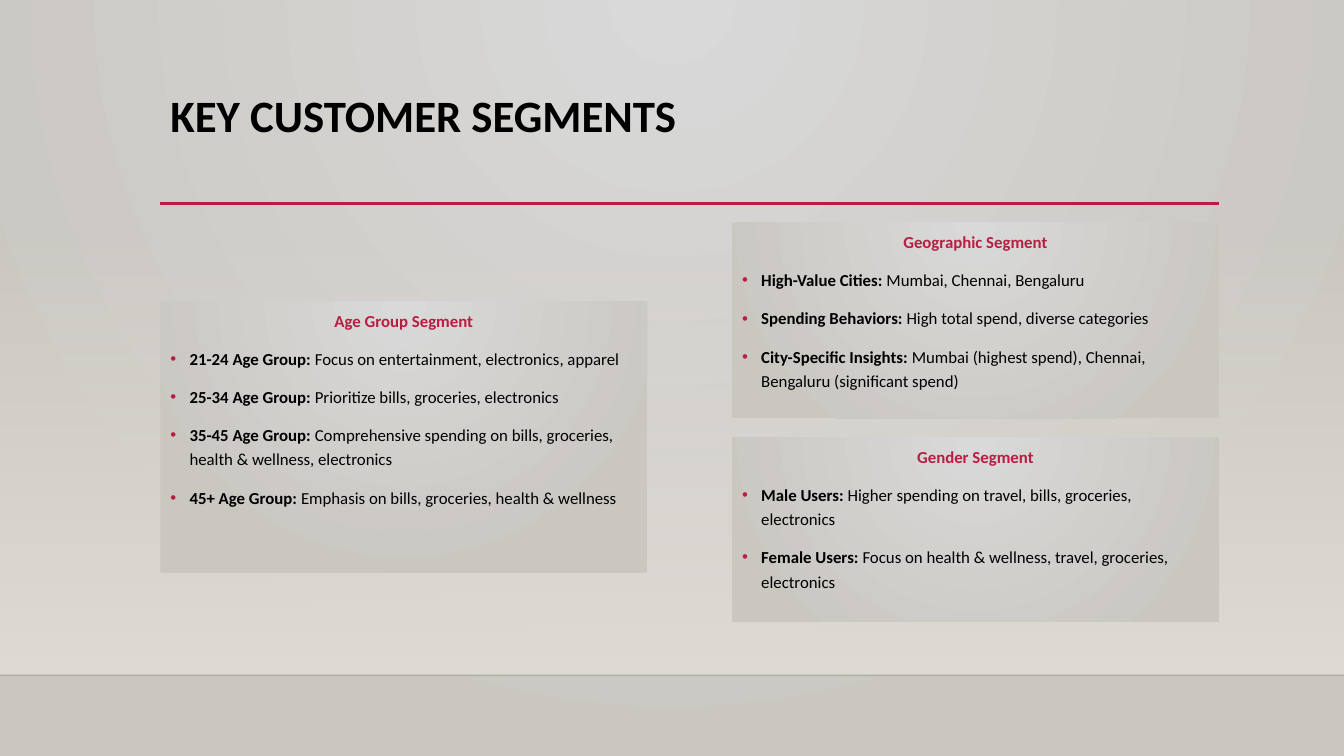
from lxml.etree import SubElement
from pptx import Presentation
from pptx.dml.color import RGBColor
from pptx.enum.shapes import MSO_CONNECTOR, MSO_SHAPE
from pptx.enum.text import MSO_ANCHOR, MSO_AUTO_SIZE, PP_ALIGN
from pptx.oxml.ns import qn
from pptx.util import Inches, Pt

CRIMSON = RGBColor(0xB7, 0x1E, 0x42)
BLACK = RGBColor(0x00, 0x00, 0x00)
SHELF = RGBColor(0x00, 0x00, 0x01)
LIGHT_GREY = RGBColor(0xD9, 0xD9, 0xD9)
WARM_GREY = RGBColor(0xCA, 0xC7, 0xC1)
SAND = RGBColor(0xDF, 0xDB, 0xD5)
FONT = "Calibri"

# Grid in inches: two equal columns between the margins
SLIDE_WIDTH, SLIDE_HEIGHT = 13.33, 7.5
MARGIN, COLUMN, GUTTER = 1.59, 4.83, 0.84
CONTENT_WIDTH = 2 * COLUMN + GUTTER
RIGHT_COLUMN = MARGIN + COLUMN + GUTTER
TITLE_TOP, RULE_Y, BODY_TOP, SHELF_Y = 0.88, 2.02, 2.21, 6.7
GEOGRAPHIC_HEIGHT, ROW_GAP = 1.94, 0.19

AGE = ("Age Group Segment", [
    ("21-24 Age Group: ", "Focus on entertainment, electronics, apparel"),
    ("25-34 Age Group: ", "Prioritize bills, groceries, electronics"),
    ("35-45 Age Group: ", "Comprehensive spending on bills, groceries, health & wellness, electronics"),
    ("45+ Age Group: ", "Emphasis on bills, groceries, health & wellness"),
])
GEOGRAPHIC = ("Geographic Segment", [
    ("High-Value Cities: ", "Mumbai, Chennai, Bengaluru"),
    ("Spending Behaviors: ", "High total spend, diverse categories"),
    ("City-Specific Insights: ", "Mumbai (highest spend), Chennai, Bengaluru (significant spend)"),
])
GENDER = ("Gender Segment", [
    ("Male Users: ", "Higher spending on travel, bills, groceries, electronics"),
    ("Female Users: ", "Focus on health & wellness, travel, groceries, electronics"),
])


def set_gradient(fill, start, end):
    fill.gradient()
    for stop, color, position in zip(fill.gradient_stops, (start, end), (0, 1)):
        stop.color.rgb = color
        stop.position = position


def set_glow(fill, owner):
    """Circular gradient spreading from the middle of the top edge."""
    set_gradient(fill, LIGHT_GREY, WARM_GREY)
    gradient = next(owner.iter(qn("a:gradFill")))
    gradient.remove(gradient.find(qn("a:lin")))
    circle = SubElement(gradient, qn("a:path"), path="circle")
    SubElement(circle, qn("a:fillToRect"), l="43000", t="0", r="43000", b="100000")


def set_alpha(owner, percent):
    color = next(owner.iter(qn("a:srgbClr")))
    SubElement(color, qn("a:alpha"), val=str(percent * 1000))


def place(shape, box):
    shape.left, shape.top, shape.width, shape.height = map(Inches, box)


def format_run(run, size, color, bold):
    run.font.name = FONT
    run.font.size = Pt(size)
    run.font.bold = bold
    run.font.color.rgb = color


def add_rule(slide, left, width, y, color, weight):
    rule = slide.shapes.add_connector(
        MSO_CONNECTOR.STRAIGHT, Inches(left), Inches(y), Inches(left + width), Inches(y))
    rule.line.color.rgb = color
    rule.line.width = Pt(weight)
    SubElement(rule.element.spPr, qn("a:effectLst"))
    return rule


def add_backdrop(slide):
    set_glow(slide.background.fill, slide.element)
    # Wash that fades in down to the shelf line
    wash = slide.shapes.add_shape(
        MSO_SHAPE.RECTANGLE, 0, Inches(BODY_TOP), Inches(SLIDE_WIDTH), Inches(SHELF_Y - BODY_TOP))
    wash.shadow.inherit = False
    wash.line.fill.background()
    set_gradient(wash.fill, SAND, SAND)
    wash.fill.gradient_angle = 270
    set_alpha(wash.element.spPr, 0)
    shelf = add_rule(slide, 0, SLIDE_WIDTH, SHELF_Y, SHELF, 1)
    set_alpha(shelf.element.spPr, 20)
    add_rule(slide, MARGIN, CONTENT_WIDTH, RULE_Y, CRIMSON, 2.5)


def prepare_placeholder(slide, shape, box):
    """Bring the placeholder in front of the backdrop and set its frame."""
    slide.shapes.element.append(shape.element)
    place(shape, box)
    text_frame = shape.text_frame
    text_frame.word_wrap = True
    text_frame.auto_size = MSO_AUTO_SIZE.NONE
    text_frame.vertical_anchor = MSO_ANCHOR.TOP
    return text_frame


def fill_title(slide, box):
    text_frame = prepare_placeholder(slide, slide.shapes.title, box)
    text_frame.text = "KEY CUSTOMER SEGMENTS"
    paragraph = text_frame.paragraphs[0]
    paragraph.alignment = PP_ALIGN.LEFT
    paragraph.line_spacing = 0.9
    format_run(paragraph.runs[0], 32, BLACK, True)


def set_bullet(paragraph, bulleted):
    indent = Inches(0.19) if bulleted else 0
    properties = paragraph._p.get_or_add_pPr()
    properties.set("marL", str(indent))
    properties.set("indent", str(-indent))
    if bulleted:
        bullet_color = SubElement(properties, qn("a:buClr"))
        SubElement(bullet_color, qn("a:srgbClr"), val=str(CRIMSON))
        SubElement(properties, qn("a:buFont"), typeface="Arial")
        SubElement(properties, qn("a:buChar"), char="•")
    else:
        SubElement(properties, qn("a:buNone"))


def fill_segment(slide, shape, box, segment):
    heading, points = segment
    text_frame = prepare_placeholder(slide, shape, box)
    set_glow(shape.fill, shape.element.spPr)
    # Heading
    text_frame.text = heading
    paragraph = text_frame.paragraphs[0]
    set_bullet(paragraph, False)
    paragraph.alignment = PP_ALIGN.CENTER
    paragraph.line_spacing = 1.2
    paragraph.space_before = Pt(0)
    format_run(paragraph.runs[0], 12, CRIMSON, True)
    # Bulleted points with a bold label
    for label, detail in points:
        paragraph = text_frame.add_paragraph()
        paragraph.text = label
        paragraph.add_run().text = detail
        set_bullet(paragraph, True)
        paragraph.alignment = PP_ALIGN.LEFT
        paragraph.line_spacing = 1.2
        paragraph.space_before = Pt(10)
        for run, bold in zip(paragraph.runs, (True, False)):
            format_run(run, 12, BLACK, bold)


def build_segments_slide(presentation):
    slide = presentation.slides.add_slide(presentation.slide_layouts.get_by_name("Comparison"))
    add_backdrop(slide)
    fill_title(slide, (MARGIN, TITLE_TOP, CONTENT_WIDTH, 1.15))
    gender_top = BODY_TOP + GEOGRAPHIC_HEIGHT + ROW_GAP
    panels = [
        ((MARGIN, 2.99, COLUMN, 2.69), AGE),
        ((RIGHT_COLUMN, BODY_TOP, COLUMN, GEOGRAPHIC_HEIGHT), GEOGRAPHIC),
        ((RIGHT_COLUMN, gender_top, COLUMN, 1.83), GENDER),
    ]
    _, *bodies, spare = list(slide.placeholders)
    for shape, (box, segment) in zip(bodies, panels):
        fill_segment(slide, shape, box, segment)
    spare.element.getparent().remove(spare.element)


def main():
    presentation = Presentation()
    presentation.slide_width = Inches(SLIDE_WIDTH)
    presentation.slide_height = Inches(SLIDE_HEIGHT)
    build_segments_slide(presentation)
    presentation.save("out.pptx")


if __name__ == "__main__":
    main()
